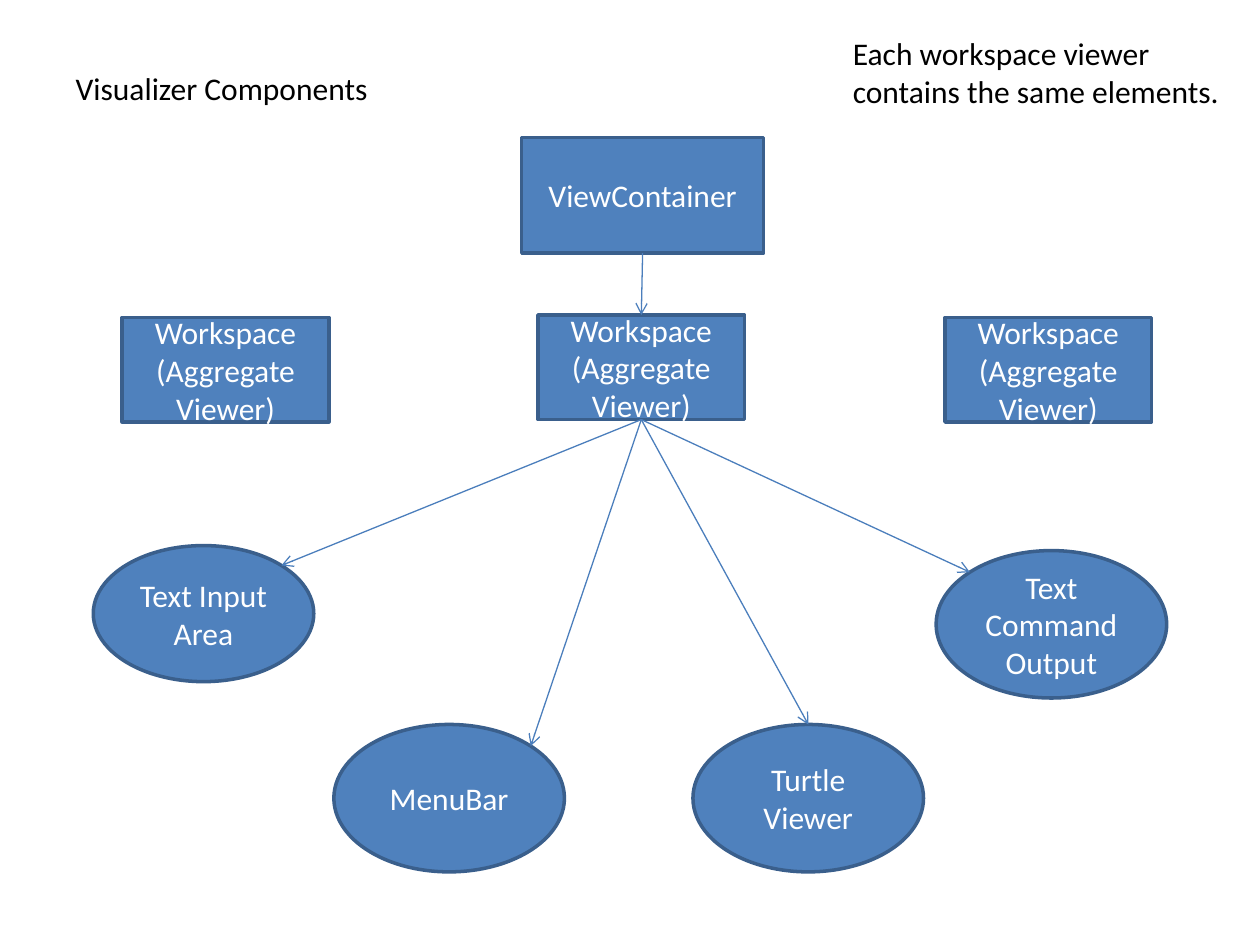
from dataclasses import dataclass
from math import sqrt

from lxml.etree import SubElement
from pptx import Presentation
from pptx.dml.color import RGBColor
from pptx.enum.shapes import MSO_CONNECTOR as Connector, MSO_SHAPE as Shape
from pptx.enum.text import MSO_ANCHOR as Anchor, MSO_AUTO_SIZE as AutoSize, PP_ALIGN as Align
from pptx.oxml.ns import qn
from pptx.util import Inches, Pt


@dataclass(frozen=True)
class Theme:
    fill: RGBColor = RGBColor.from_string("4F81BD")
    outline: RGBColor = RGBColor.from_string("3A5F8C")
    arrow: RGBColor = RGBColor.from_string("4B7EBC")
    dark: RGBColor = RGBColor.from_string("000000")
    light: RGBColor = RGBColor.from_string("FFFFFF")
    font: str = "Calibri"
    size: float = 18
    outline_width: float = 2
    arrow_width: float = 0.75


@dataclass(frozen=True)
class Box:
    left: float
    top: float
    width: float
    height: float

    def inches(self):
        return [Inches(v) for v in (self.left, self.top, self.width, self.height)]

    def point(self, across, down):
        return self.left + self.width * across, self.top + self.height * down


THEME = Theme()
DIAGONAL = sqrt(0.5) / 2
TOP = (0.5, 0)
BOTTOM = (0.5, 1)
UPPER_LEFT = (0.5 - DIAGONAL, 0.5 - DIAGONAL)
UPPER_RIGHT = (0.5 + DIAGONAL, 0.5 - DIAGONAL)


def write_text(frame, text, color, align):
    frame.text = text
    for para in frame.paragraphs:
        para.alignment = align
        para.font.name = THEME.font
        para.font.size = Pt(THEME.size)
        para.font.color.rgb = color


def write_label(shape, box, text):
    shape.left, shape.top, shape.width, shape.height = box.inches()
    frame = shape.text_frame
    write_text(frame, text, THEME.dark, Align.LEFT)
    frame.word_wrap = False
    frame.auto_size = AutoSize.SHAPE_TO_FIT_TEXT
    frame.vertical_anchor = Anchor.TOP


def add_node(page, kind, box, text):
    node = page.shapes.add_shape(kind, *box.inches())
    node.shadow.inherit = False
    node.fill.solid()
    node.fill.fore_color.rgb = THEME.fill
    node.line.color.rgb = THEME.outline
    node.line.width = Pt(THEME.outline_width)
    node.text_frame.word_wrap = True
    node.text_frame.vertical_anchor = Anchor.MIDDLE
    write_text(node.text_frame, text, THEME.light, Align.CENTER)


def add_arrow(page, start, end):
    arrow = page.shapes.add_connector(
        Connector.STRAIGHT, *[Inches(v) for v in (*start, *end)])
    arrow.line.color.rgb = THEME.arrow
    arrow.line.width = Pt(THEME.arrow_width)
    SubElement(arrow.line._get_or_add_ln(), qn("a:tailEnd"), type="arrow")
    SubElement(arrow._element.spPr, qn("a:effectLst"))


def add_headings(page, title_box, note_box):
    write_label(page.shapes.title, title_box, "Visualizer Components")
    note = page.shapes.add_textbox(*note_box.inches())
    write_label(note, note_box, "Each workspace viewer\ncontains the same elements.")


def add_containers(page, container, workspaces):
    add_node(page, Shape.RECTANGLE, container, "ViewContainer")
    for workspace in workspaces:
        add_node(page, Shape.RECTANGLE, workspace, "Workspace (Aggregate Viewer)")
    add_arrow(page, container.point(*BOTTOM), workspaces[1].point(*TOP))


def add_elements(page, workspace, elements):
    for text, box, site in elements:
        add_node(page, Shape.OVAL, box, text)
        add_arrow(page, workspace.point(*BOTTOM), box.point(*site))


def build_components(deck):
    page = deck.slides.add_slide(deck.slide_layouts[5])
    workspaces = [Box(left, top, 1.64, 0.83)
                  for left, top in ((0.97, 2.52), (4.27, 2.5), (7.5, 2.52))]
    elements = [
        ("Text Input Area", Box(0.74, 4.33, 1.75, 1.08), UPPER_RIGHT),
        ("MenuBar", Box(2.65, 5.75, 1.83, 1.17), UPPER_RIGHT),
        ("Turtle\nViewer", Box(5.5, 5.75, 1.83, 1.17), TOP),
        ("Text Command Output", Box(7.43, 4.37, 1.83, 1.17), UPPER_LEFT),
    ]
    add_headings(page, Box(0.5, 0.5, 2.55, 0.4), Box(6.67, 0.22, 3.14, 0.71))
    add_containers(page, Box(4.14, 1.09, 1.92, 0.92), workspaces)
    add_elements(page, workspaces[1], elements)


deck = Presentation()
deck.slide_width, deck.slide_height = Inches(10), Inches(7.5)
build_components(deck)
deck.save("out.pptx")
